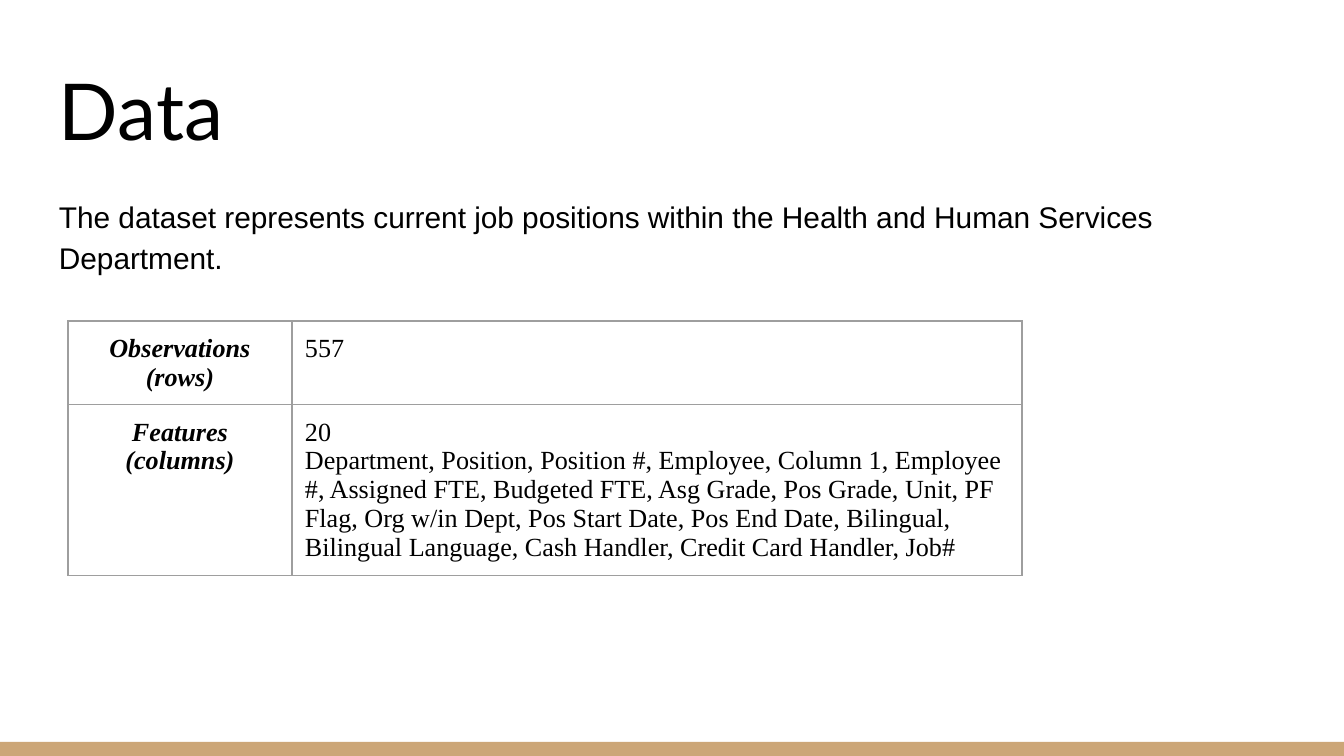
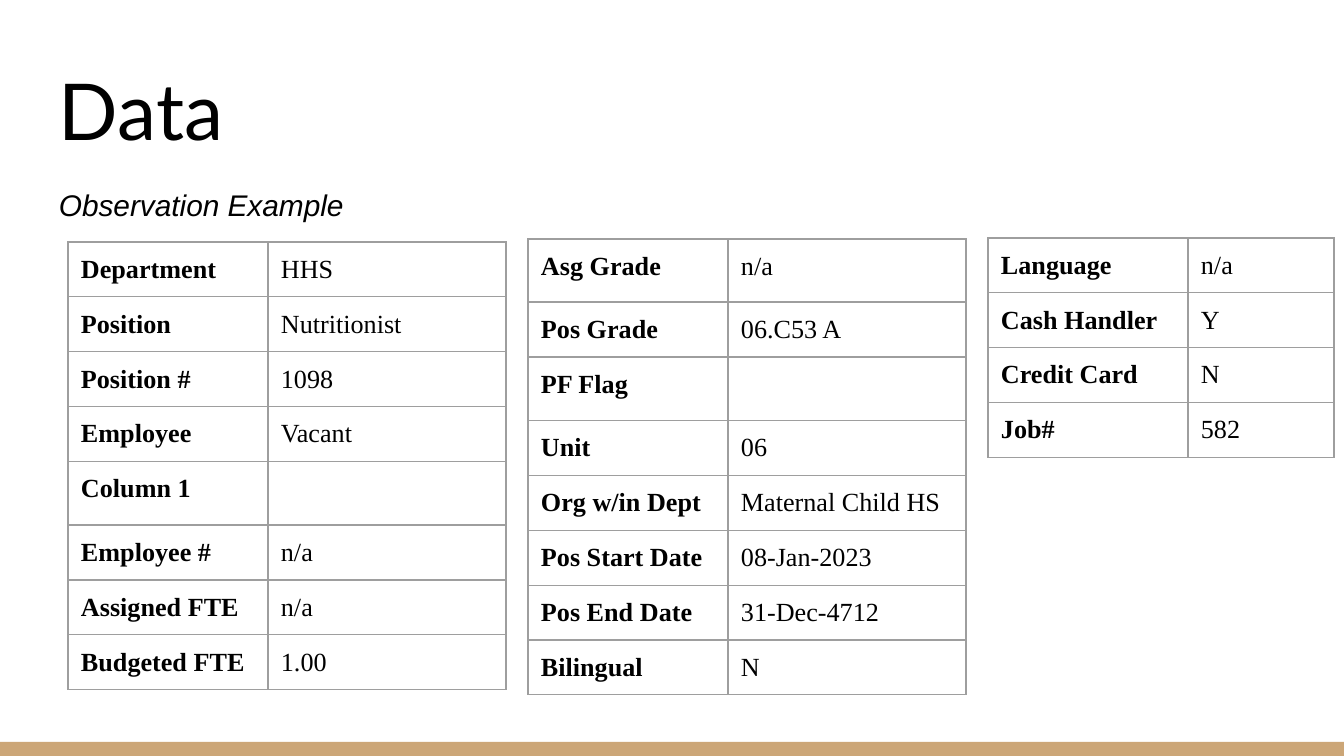
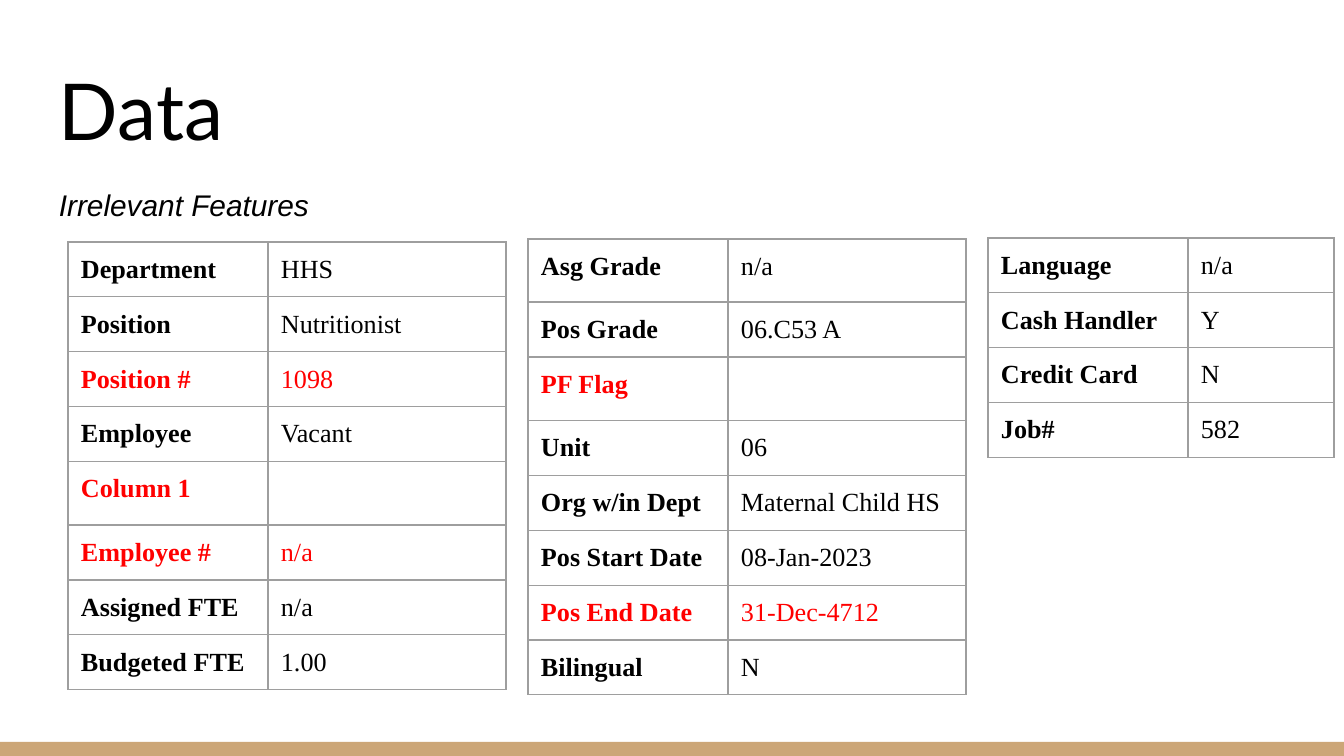
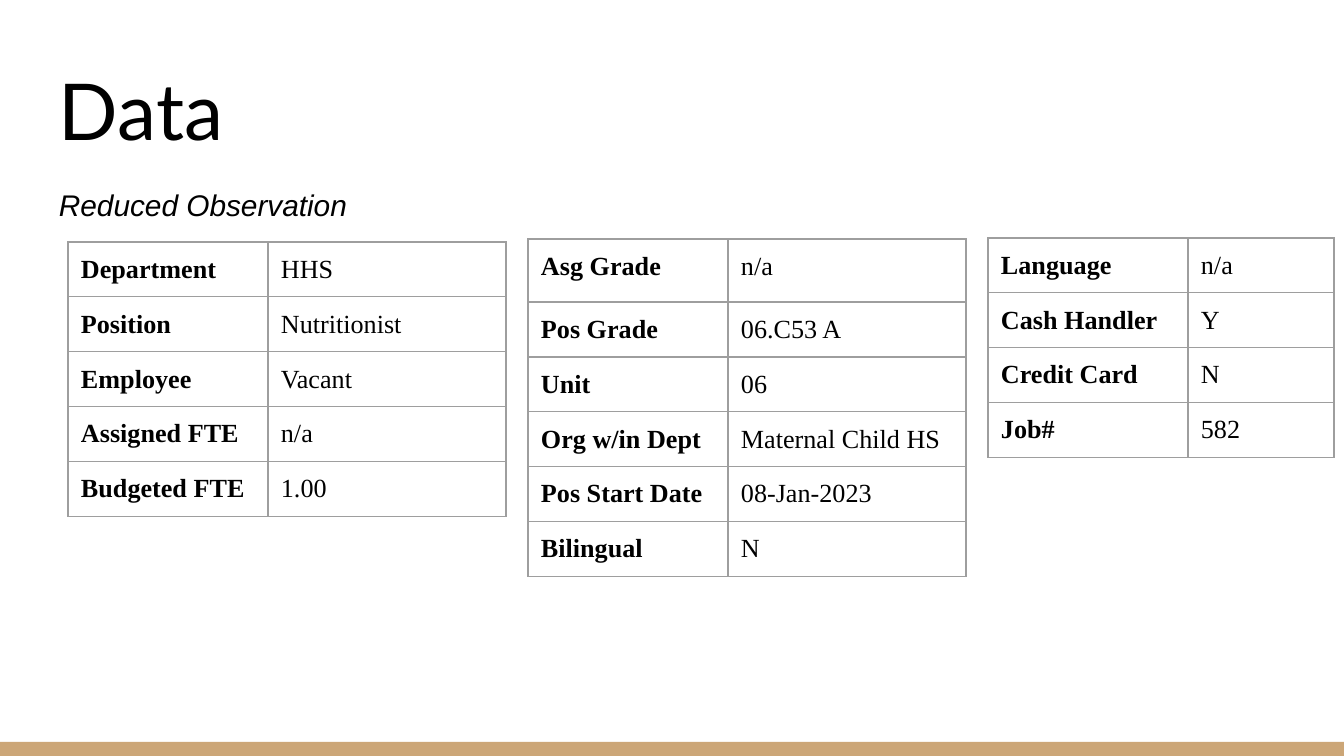
from dataclasses import dataclass, field
from typing import Optional

from lxml import etree
from pptx import Presentation
from pptx import util as u
from pptx.dml.color import RGBColor
from pptx.enum import shapes, text
from pptx.oxml import ns

SLIDE_WIDTH, SLIDE_HEIGHT = 1344, 756
EMU_PER_PX = 9144000 / SLIDE_WIDTH
COLORS = {
    "background": "FFFFFF",
    "band": "CCA677",
    "text": "000000",
    "irrelevant": "FF0000",
    "border": "9E9E9E",
}
INSET = 13
BORDER_POINTS = 0.75
NAME_WIDTH = 200
TABLE_LEFT, TABLE_STEP = 68, 460


@dataclass(frozen=True)
class Box:
    left: int
    top: int
    width: int
    height: int

    def emu(self) -> tuple:
        return tuple(px(n) for n in (self.left, self.top, self.width, self.height))


@dataclass(frozen=True)
class Style:
    font: str
    size: int
    bold: bool = False
    italic: bool = False
    color: str = "text"
    align: text.PP_ALIGN = text.PP_ALIGN.LEFT
    spacing: Optional[float] = None


@dataclass(frozen=True)
class Cell:
    text: str
    style: Style


@dataclass(frozen=True)
class Row:
    height: int
    cells: tuple


@dataclass(frozen=True)
class Feature:
    name: str
    value: str
    height: int
    irrelevant: bool = False


@dataclass(frozen=True)
class FeatureGroup:
    top: int
    value_width: int
    features: tuple = field(default_factory=tuple)


TITLE_BOX = Box(46, 47, 1253, 122)
INTRO_BOX = Box(46, 180, 1253, 493)
CAPTION_BOX = Box(46, 168, 1253, 493)
BAND_BOX = Box(0, 742, SLIDE_WIDTH, SLIDE_HEIGHT - 742)

TITLE_STYLE = Style("Lato", 42)
INTRO_STYLE = Style("Arial", 16, spacing=1.15)
CAPTION_STYLE = Style("Arial", 16, italic=True, spacing=1.15)
VALUE_STYLE = Style("Times New Roman", 14)
SUMMARY_STYLE = Style("Times New Roman", 14, bold=True, italic=True, align=text.PP_ALIGN.CENTER)

SUMMARY_ROWS = (
    Row(58, (Cell("Observations\n(rows)", SUMMARY_STYLE), Cell("557", VALUE_STYLE))),
    Row(117, (
        Cell("Features\n(columns)", SUMMARY_STYLE),
        Cell(
            "20\nDepartment, Position, Position #, Employee, Column 1, Employee #, "
            "Assigned FTE, Budgeted FTE, Asg Grade, Pos Grade, Unit, PF Flag, "
            "Org w/in Dept, Pos Start Date, Pos End Date, Bilingual, "
            "Bilingual Language, Cash Handler, Credit Card Handler, Job#",
            VALUE_STYLE,
        ),
    )),
)

FEATURE_GROUPS = (
    FeatureGroup(242, 238, (
        Feature("Department", "HHS", 52),
        Feature("Position", "Nutritionist", 52),
        Feature("Position #", "1098", 52, True),
        Feature("Employee", "Vacant", 52),
        Feature("Column 1", "", 52, True),
        Feature("Employee #", "n/a", 52, True),
        Feature("Assigned FTE", "n/a", 52),
        Feature("Budgeted FTE", "1.00", 50),
    )),
    FeatureGroup(239, 238, (
        Feature("Asg Grade", "n/a", 63),
        Feature("Pos Grade", "06.C53 A", 55),
        Feature("PF Flag", "", 55, True),
        Feature("Unit", "06", 43),
        Feature("Org w/in Dept", "Maternal Child HS", 43),
        Feature("Pos Start Date", "08-Jan-2023", 43),
        Feature("Pos End Date", "31-Dec-4712", 43, True),
        Feature("Bilingual", "N", 43),
    )),
    FeatureGroup(238, 146, (
        Feature("Language", "n/a", 38),
        Feature("Cash Handler", "Y", 38),
        Feature("Credit Card", "N", 38),
        Feature("Job#", "582", 38),
    )),
)


def px(length: int) -> u.Emu:
    return u.Emu(round(length * EMU_PER_PX))


def rgb(name: str) -> RGBColor:
    return RGBColor.from_string(COLORS[name])


def set_insets(target) -> None:
    target.margin_left = target.margin_right = px(INSET)
    target.margin_top = target.margin_bottom = px(INSET)


def write_text(text_frame, content: str, style: Style) -> None:
    text_frame.text = content
    text_frame.word_wrap = True
    for paragraph in text_frame.paragraphs:
        paragraph.alignment = style.align
        if style.spacing:
            paragraph.line_spacing = style.spacing
        for run in paragraph.runs:
            run.font.name = style.font
            run.font.size = u.Pt(style.size)
            run.font.bold = style.bold
            run.font.italic = style.italic
            run.font.color.rgb = rgb(style.color)


def size_empty_cell(cell) -> None:
    paragraph = cell.text_frame.paragraphs[0]
    end = etree.SubElement(paragraph._p, ns.qn("a:endParaRPr"), sz="1800")
    etree.SubElement(end, ns.qn("a:latin"), typeface="Arial")


def draw_borders(cell) -> None:
    properties = cell._tc.get_or_add_tcPr()
    for side in ("L", "R", "T", "B"):
        line = etree.SubElement(
            properties, ns.qn(f"a:ln{side}"), w=str(u.Pt(BORDER_POINTS))
        )
        fill = etree.SubElement(line, ns.qn("a:solidFill"))
        etree.SubElement(fill, ns.qn("a:srgbClr"), val=COLORS["border"])


def add_grid(slide, left: int, top: int, widths: tuple, rows: tuple) -> None:
    box = Box(left, top, sum(widths), sum(row.height for row in rows))
    table = slide.shapes.add_table(len(rows), len(widths), *box.emu()).table
    table.first_row = table.horz_banding = False
    for column, width in zip(table.columns, widths):
        column.width = px(width)
    for table_row, row in zip(table.rows, rows):
        table_row.height = px(row.height)
        for cell, content in zip(table_row.cells, row.cells):
            set_insets(cell)
            draw_borders(cell)
            cell.fill.background()
            if content.text:
                write_text(cell.text_frame, content.text, content.style)
            else:
                size_empty_cell(cell)


def feature_row(feature: Feature, highlight: bool) -> Row:
    color = "irrelevant" if highlight and feature.irrelevant else "text"
    name_style = Style("Times New Roman", 14, bold=True, color=color)
    value_style = Style("Times New Roman", 14, color=color)
    return Row(
        feature.height,
        (Cell(feature.name, name_style), Cell(feature.value, value_style)),
    )


def add_data_slide(presentation, body: str, box: Box, style: Style):
    slide = presentation.slides.add_slide(presentation.slide_layouts[5])
    title = slide.shapes.title
    title.left, title.top, title.width, title.height = TITLE_BOX.emu()
    write_text(title.text_frame, "Data", TITLE_STYLE)
    title.text_frame.vertical_anchor = text.MSO_ANCHOR.BOTTOM
    body_box = slide.shapes.add_textbox(*box.emu())
    write_text(body_box.text_frame, body, style)
    for text_frame in (title.text_frame, body_box.text_frame):
        set_insets(text_frame)
        text_frame.auto_size = text.MSO_AUTO_SIZE.NONE
    return slide


def add_feature_slide(
    presentation, caption: str, highlight: bool = False, reduced: bool = False
) -> None:
    slide = add_data_slide(presentation, caption, CAPTION_BOX, CAPTION_STYLE)
    for index, group in enumerate(FEATURE_GROUPS):
        rows = tuple(
            feature_row(feature, highlight)
            for feature in group.features
            if not (reduced and feature.irrelevant)
        )
        left = TABLE_LEFT + index * TABLE_STEP
        add_grid(slide, left, group.top, (NAME_WIDTH, group.value_width), rows)


def move_band_to_layout(slide) -> None:
    band = slide.shapes.add_shape(shapes.MSO_SHAPE.RECTANGLE, *BAND_BOX.emu())
    band.shadow.inherit = False
    band.fill.solid()
    band.fill.fore_color.rgb = rgb("band")
    band.line.fill.background()
    slide.slide_layout.shapes._spTree.append(band._element)


def main() -> None:
    presentation = Presentation()
    presentation.slide_width = px(SLIDE_WIDTH)
    presentation.slide_height = px(SLIDE_HEIGHT)
    background = presentation.slide_master.background.fill
    background.solid()
    background.fore_color.rgb = rgb("background")

    summary = add_data_slide(
        presentation,
        "The dataset represents current job positions within the "
        "Health and Human Services Department.",
        INTRO_BOX,
        INTRO_STYLE,
    )
    move_band_to_layout(summary)
    add_grid(summary, TABLE_LEFT, 321, (224, 730), SUMMARY_ROWS)
    add_feature_slide(presentation, "Observation Example")
    add_feature_slide(presentation, "Irrelevant Features", highlight=True)
    add_feature_slide(presentation, "Reduced Observation", reduced=True)
    presentation.save("out.pptx")


if __name__ == "__main__":
    main()
